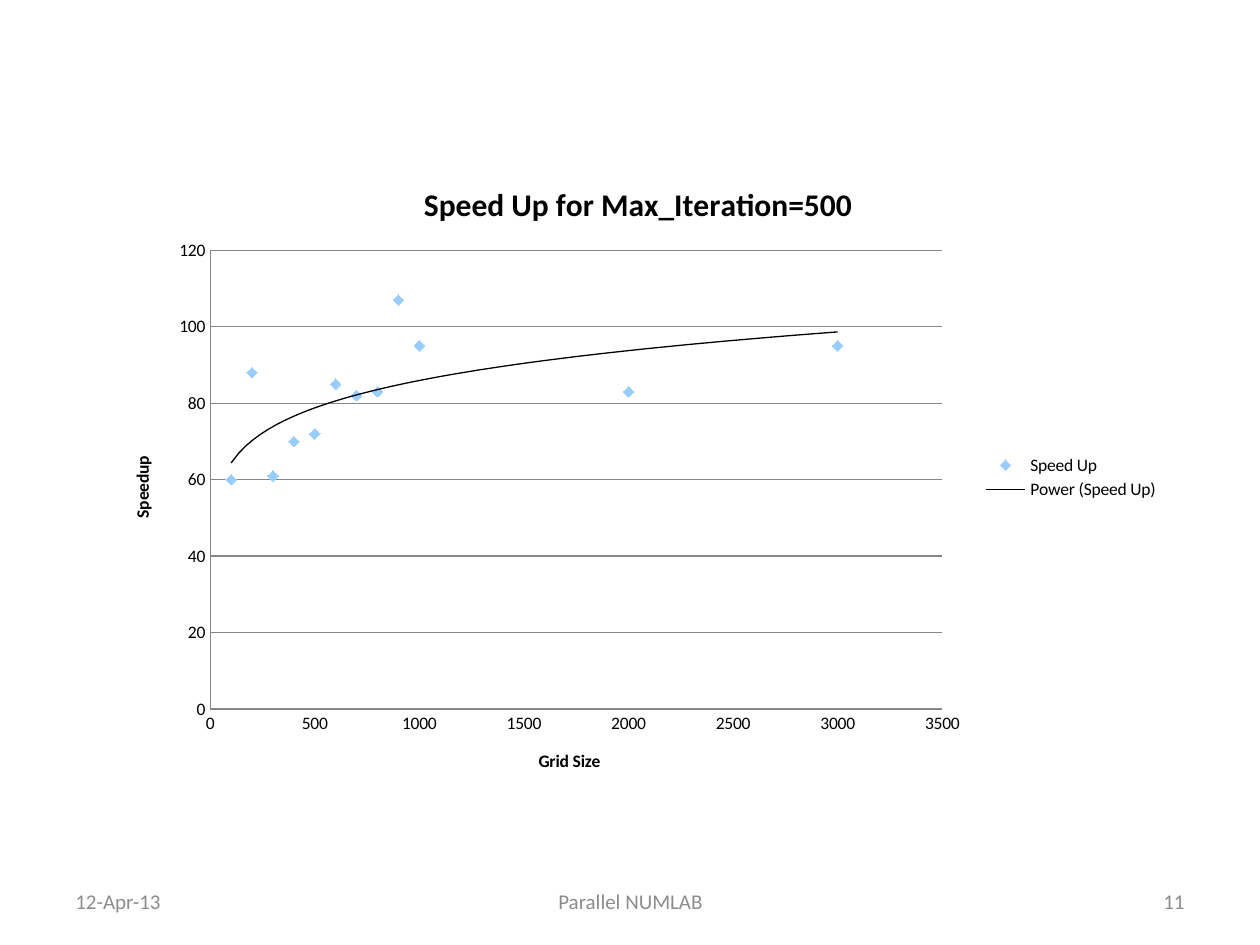
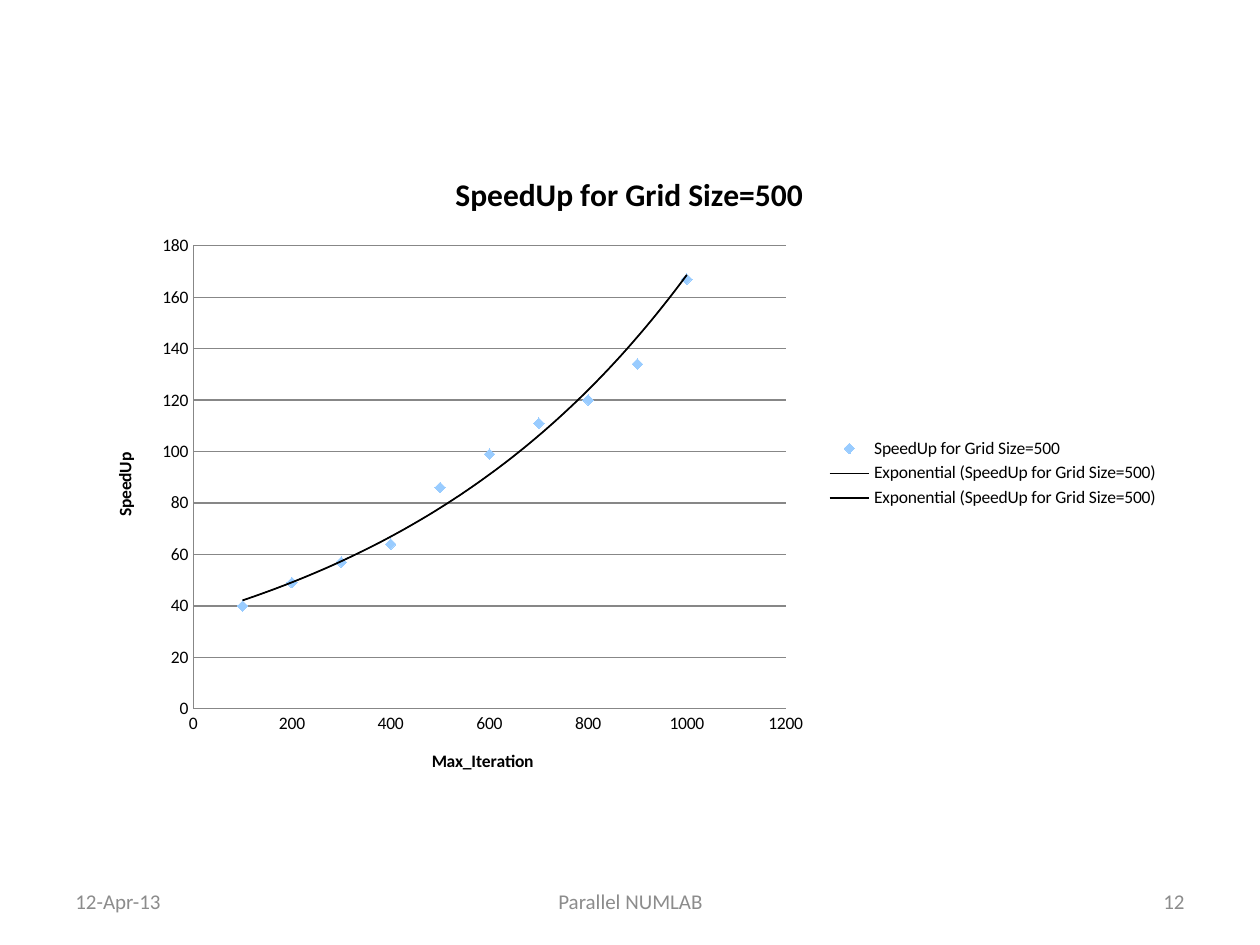
from dataclasses import dataclass

from lxml.etree import SubElement
from pptx import Presentation
from pptx.chart.data import XyChartData
from pptx.dml.color import RGBColor
from pptx.enum.chart import XL_CHART_TYPE, XL_LEGEND_POSITION, XL_MARKER_STYLE, XL_TICK_MARK
from pptx.enum.text import MSO_ANCHOR, PP_ALIGN
from pptx.oxml import parse_xml
from pptx.oxml.ns import nsdecls, qn
from pptx.util import Inches, Pt

FONT = "Calibri"
BLACK = "000000"
FOOTER_GRAY = "8C8C8C"
GRID_GRAY = "878787"
MARKER_BLUE = "99CCFF"


@dataclass
class Trend:
    """A fitted curve and its line width in points."""

    kind: str
    width: float


@dataclass
class Axis:
    """Title and scale of one axis."""

    title: str
    maximum: int
    step: int


@dataclass
class SpeedChart:
    """One slide's scatter chart; plot is a fraction of the frame."""

    number: int
    frame: tuple[float, float, float, float]
    plot: tuple[float, float, float, float]
    title: str
    series: str
    sizes: list[int]
    speedups: list[int]
    across: Axis
    up: Axis
    trends: list[Trend]


HUNDREDS = list(range(100, 1001, 100))
CHARTS = [
    SpeedChart(
        11, (0.83, 1.25, 8.47, 5.08), (0.099, 0.145, 0.686, 0.717),
        "Speed Up for Max_Iteration=500", "Speed Up",
        HUNDREDS + [2000, 3000],
        [60, 88, 61, 70, 72, 85, 82, 83, 107, 95, 83, 95],
        Axis("Grid Size", 3500, 500), Axis("Speedup", 120, 20),
        [Trend("power", 0.75)],
    ),
    SpeedChart(
        12, (0.69, 1.17, 8.61, 5.17), (0.098, 0.151, 0.546, 0.711),
        "SpeedUp for Grid Size=500", "SpeedUp for Grid Size=500",
        HUNDREDS,
        [40, 49, 57, 64, 86, 99, 111, 120, 134, 167],
        Axis("Max_Iteration", 1200, 200), Axis("SpeedUp", 180, 20),
        [Trend("exp", 0.5), Trend("exp", 1)],
    ),
]


def color(value: str) -> RGBColor:
    """Turn a hex string into a colour."""
    return RGBColor.from_string(value)


def write(frame, text: str, *, size: float, hue: str = BLACK, bold: bool = False, align=None) -> None:
    """Write one formatted line into a text frame."""
    para = frame.paragraphs[0]
    para.alignment = align
    span = para.add_run()
    span.text = text
    span.font.name = FONT
    span.font.size = Pt(size)
    span.font.bold = bold
    span.font.color.rgb = color(hue)


def add_footer(page, number: int) -> None:
    """Place the date, deck name and page number."""
    parts = [
        (0.5, 2.33, "12-Apr-13", PP_ALIGN.LEFT),
        (3.42, 3.17, "Parallel NUMLAB", PP_ALIGN.CENTER),
        (7.17, 2.33, str(number), PP_ALIGN.RIGHT),
    ]
    for left, width, text, align in parts:
        box = page.shapes.add_textbox(Inches(left), Inches(6.95), Inches(width), Inches(0.4))
        box.text_frame.word_wrap = True
        box.text_frame.vertical_anchor = MSO_ANCHOR.MIDDLE
        write(box.text_frame, text, size=12, hue=FOOTER_GRAY, align=align)


def style_line(line, hue: str) -> None:
    """Give a line the shared thin stroke."""
    line.color.rgb = color(hue)
    line.width = Pt(0.75)


def style_axis(axis, look: Axis, grid: bool) -> None:
    """Set an axis's title, scale and lines."""
    write(axis.axis_title.text_frame, look.title, size=10, bold=True)
    axis.minimum_scale = 0
    axis.maximum_scale = look.maximum
    axis.major_unit = look.step
    axis.major_tick_mark = XL_TICK_MARK.NONE
    axis.minor_tick_mark = XL_TICK_MARK.NONE
    axis.has_major_gridlines = grid
    axis.tick_labels.number_format = "General"
    axis.tick_labels.number_format_is_linked = False
    style_line(axis.format.line, GRID_GRAY)
    if grid:
        style_line(axis.major_gridlines.format.line, GRID_GRAY)


def add_trend(series, trend: Trend) -> None:
    """Insert a fitted curve into a series."""
    curve = parse_xml(
        f'<c:trendline {nsdecls("c", "a")}><c:spPr><a:ln w="{Pt(trend.width)}">'
        f'<a:solidFill><a:srgbClr val="{BLACK}"/></a:solidFill></a:ln></c:spPr>'
        f'<c:trendlineType val="{trend.kind}"/><c:dispRSqr val="0"/><c:dispEq val="0"/></c:trendline>'
    )
    series._element.find(qn("c:xVal")).addprevious(curve)


def place_plot(chart, plot: tuple[float, float, float, float]) -> None:
    """Fix the inner plot area within the chart."""
    area = chart._chartSpace.chart.plotArea
    for old in area.findall(qn("c:layout")):
        area.remove(old)
    layout = parse_xml(f'<c:layout {nsdecls("c")}/>')
    area.insert(0, layout)
    manual = SubElement(layout, qn("c:manualLayout"))
    settings = [("layoutTarget", "inner"), ("xMode", "edge"), ("yMode", "edge")]
    for name, value in settings + list(zip("xywh", plot)):
        SubElement(manual, qn(f"c:{name}")).set("val", str(value))


def add_speed_chart(page, look: SpeedChart) -> None:
    """Draw the scatter chart with its fitted curves."""
    data = XyChartData()
    points = data.add_series(look.series)
    for size, speedup in zip(look.sizes, look.speedups):
        points.add_data_point(size, speedup)
    bounds = [Inches(length) for length in look.frame]
    chart = page.shapes.add_chart(XL_CHART_TYPE.XY_SCATTER, *bounds, data).chart
    chart.font.name = FONT
    chart.font.size = Pt(10)
    chart.font.color.rgb = color(BLACK)
    write(chart.chart_title.text_frame, look.title, size=18, bold=True)
    chart.has_legend = True
    chart.legend.position = XL_LEGEND_POSITION.RIGHT
    chart.legend.include_in_layout = False
    style_axis(chart.category_axis, look.across, grid=False)
    style_axis(chart.value_axis, look.up, grid=True)
    chart.plots[0].vary_by_categories = False
    series = chart.plots[0].series[0]
    series.smooth = False
    series.format.line.fill.background()
    series.marker.style = XL_MARKER_STYLE.DIAMOND
    series.marker.size = 6
    series.marker.format.fill.solid()
    series.marker.format.fill.fore_color.rgb = color(MARKER_BLUE)
    series.marker.format.line.color.rgb = color(MARKER_BLUE)
    for trend in look.trends:
        add_trend(series, trend)
    place_plot(chart, look.plot)


def build() -> None:
    """Build and save the deck."""
    deck = Presentation()
    deck.slide_width, deck.slide_height = Inches(10), Inches(7.5)
    for look in CHARTS:
        page = deck.slides.add_slide(deck.slide_layouts[6])
        add_footer(page, look.number)
        add_speed_chart(page, look)
    deck.save("out.pptx")


build()
